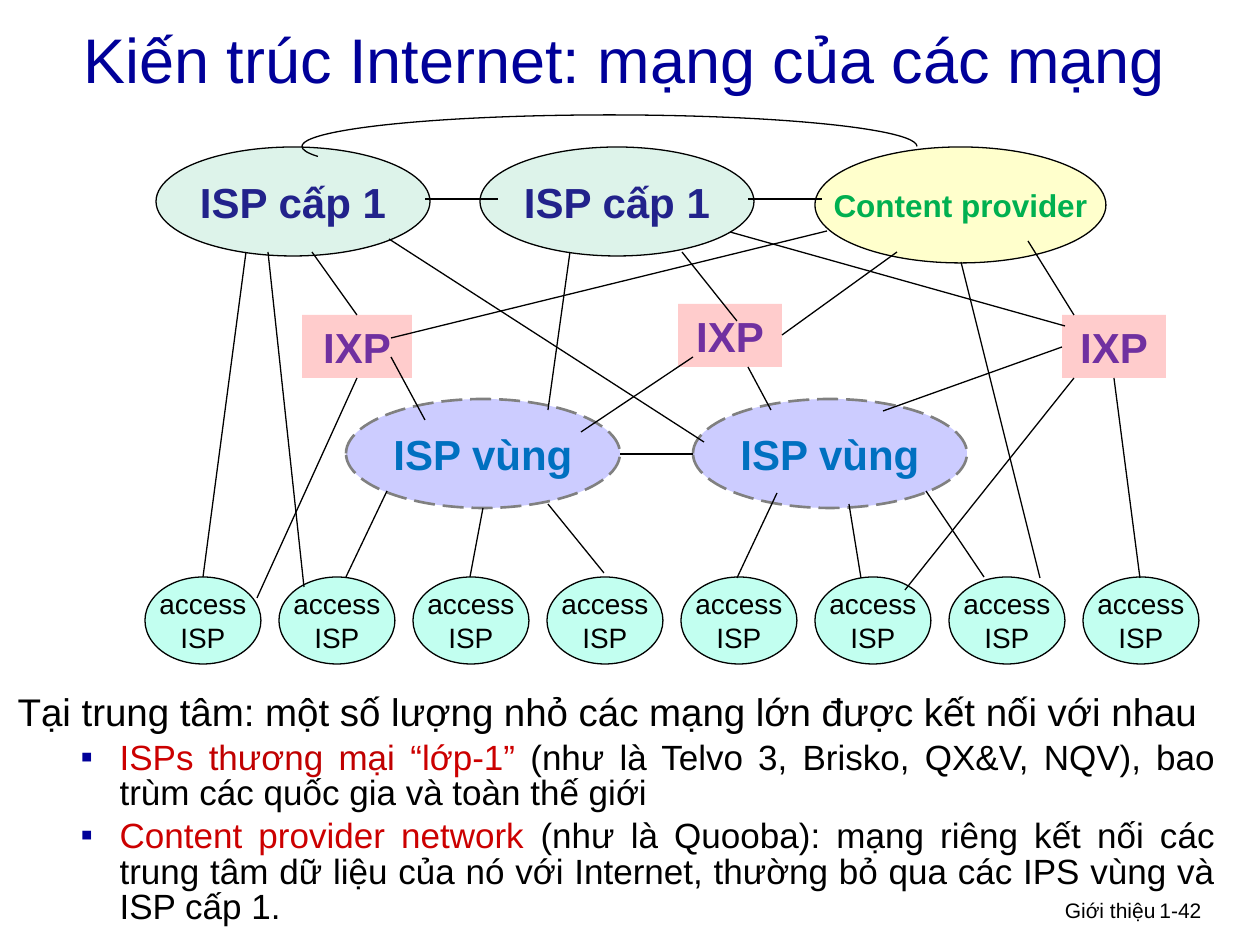
import pptx
import pptx.util
import pptx.dml.color
import pptx.enum.dml
import pptx.enum.shapes
import pptx.enum.text
import pptx.oxml.ns
from lxml import etree

PX = 914400 / 126
COLORS = {
    "title": "000099", "ink": "000000", "key": "CC0000", "key dark": "C00000",
    "access": "C2FFF0", "regional": "CCCCFF", "regional line": "808080",
    "regional text": "0070C0", "exchange": "FFCCCC", "exchange text": "7030A0",
    "tier": "DDF3EA", "tier text": "22228B",
    "content": "FFFFCC", "content text": "00B050",
}
SHAPES = pptx.enum.shapes.MSO_SHAPE
ALIGN = pptx.enum.text.PP_ALIGN
MIDDLE = pptx.enum.text.MSO_ANCHOR.MIDDLE


def emu(*lengths):
    return [pptx.util.Emu(round(length * PX)) for length in lengths]


def format_font(font, color, **values):
    for name, value in {"name": "Arial", **values}.items():
        setattr(font, name, value)
    font.color.rgb = pptx.dml.color.RGBColor.from_string(COLORS[color])


presentation = pptx.Presentation()
presentation.slide_width, presentation.slide_height = emu(1260, 945)
slide = presentation.slides.add_slide(presentation.slide_layouts[1])

# Title and body placeholders
title, body = slide.shapes.title, slide.placeholders[1]
for placeholder, box in ((title, (35, 14, 1179, 89)), (body, (5, 689, 1223, 272))):
    placeholder.left, placeholder.top, placeholder.width, placeholder.height = emu(*box)
    placeholder.text_frame.auto_size = pptx.enum.text.MSO_AUTO_SIZE.NONE
title.text_frame.text = "Kiến trúc Internet: mạng của các mạng"
title.text_frame.vertical_anchor = MIDDLE
title.text_frame.paragraphs[0].alignment = ALIGN.CENTER
format_font(title.text_frame.paragraphs[0].runs[0].font, "title", size=pptx.util.Pt(36))

# Body text: level, size, runs with their colours
body_text = [
    (0, 22, [("Tại trung tâm: một số lượng nhỏ các mạng lớn được kết nối với nhau", "ink")]),
    (1, 20, [("ISPs ", "key"), ("thương mại ", "key dark"), ("“lớp-1” ", "key"),
             ("(như là Telvo 3, Brisko, QX&V, NQV), bao trùm các quốc gia và toàn thế giới", "ink")]),
    (1, 20, [("Content provider network ", "key"),
             ("(như là Quooba): mạng riêng kết nối các trung tâm dữ liệu của nó với Internet, "
              "thường bỏ qua các IPS vùng và ISP cấp 1.", "ink")]),
]
for index, (level, size, runs) in enumerate(body_text):
    paragraph = body.text_frame.add_paragraph() if index else body.text_frame.paragraphs[0]
    for name, value in {"level": level, "alignment": ALIGN.JUSTIFY, "line_spacing": 0.85,
                        "space_before": pptx.util.Pt(4 if index else 0)}.items():
        setattr(paragraph, name, value)
    properties = paragraph._p.get_or_add_pPr()
    left, indent = emu(102, -39) if level else emu(0, 0)
    properties.set("marL", str(left))
    properties.set("indent", str(indent))
    if level:
        bullet_color = etree.SubElement(properties, pptx.oxml.ns.qn("a:buClr"))
        etree.SubElement(bullet_color, pptx.oxml.ns.qn("a:srgbClr"), val=COLORS["title"])
        etree.SubElement(properties, pptx.oxml.ns.qn("a:buFont"), typeface="Arial")
        etree.SubElement(properties, pptx.oxml.ns.qn("a:buChar"), char="▪")
    else:
        etree.SubElement(properties, pptx.oxml.ns.qn("a:buNone"))
    for text, color in runs:
        run = paragraph.add_run()
        run.text = text
        format_font(run.font, color, size=pptx.util.Pt(size))

# Footer and page number
for text, box, alignment in (("Giới thiệu", (769, 891, 399, 39), ALIGN.RIGHT),
                             ("1-42", (1147, 891, 93, 38), ALIGN.LEFT)):
    frame = slide.shapes.add_textbox(*emu(*box)).text_frame
    frame.word_wrap = True
    frame.text = text
    frame.paragraphs[0].alignment = alignment
    format_font(frame.paragraphs[0].runs[0].font, "ink", size=pptx.util.Pt(12))

# Networks: kind -> label, preset, fill, text colour, size, line colour, boxes
networks = [
    ("access\nISP", SHAPES.OVAL, "access", "ink", 16, "ink",
     [(145 + 134 * column, 577, 116, 87) for column in range(8)]),
    ("ISP vùng", SHAPES.OVAL, "regional", "regional text", 24, "regional line",
     [(346, 399, 274, 109), (693, 399, 274, 109)]),
    ("IXP", SHAPES.RECTANGLE, "exchange", "exchange text", 24, None,
     [(302, 315, 110, 63), (678, 304, 104, 63), (1062, 315, 104, 63)]),
    ("ISP cấp 1", SHAPES.OVAL, "tier", "tier text", 24, "ink",
     [(156, 147, 274, 109), (480, 147, 274, 109)]),
    ("Content provider", SHAPES.OVAL, "content", "content text", 18, "ink",
     [(815, 147, 291, 116)]),
]
for label, preset, fill, text_color, size, line_color, boxes in networks:
    for box in boxes:
        shape = slide.shapes.add_shape(preset, *emu(*box))
        shape.shadow.inherit = False
        shape.fill.solid()
        shape.fill.fore_color.rgb = pptx.dml.color.RGBColor.from_string(COLORS[fill])
        if line_color:
            shape.line.color.rgb = pptx.dml.color.RGBColor.from_string(COLORS[line_color])
            shape.line.width = pptx.util.Pt(0.75)
        else:
            shape.line.fill.background()
        if fill == "regional":
            shape.line.width = pptx.util.Pt(1.5)
            shape.line.dash_style = pptx.enum.dml.MSO_LINE.LONG_DASH
        shape.text_frame.word_wrap = False
        shape.text_frame.vertical_anchor = MIDDLE
        shape.text_frame.text = label
        for paragraph in shape.text_frame.paragraphs:
            paragraph.alignment = ALIGN.CENTER
            format_font(paragraph.runs[0].font, text_color,
                        size=pptx.util.Pt(size), bold=fill != "access")

# Arc from the first tier-1 ISP to the content provider
arc = slide.shapes.add_shape(SHAPES.ARC, *emu(302, 115, 615, 63))
arc.shadow.inherit = False
arc.fill.background()
arc.adjustments[0], arc.adjustments[1] = 106.82, 0
arc.line.color.rgb = pptx.dml.color.RGBColor.from_string(COLORS["ink"])
arc.line.width = pptx.util.Pt(0.75)

# Links between networks: x and y of both ends
links = [
    # between peers
    (498, 199, 425, 199), (822, 199, 748, 199), (693, 454, 620, 454),
    # from tier-1 ISPs
    (246, 252, 203, 577), (268, 252, 304, 587), (312, 252, 357, 315), (389, 239, 704, 442),
    (570, 252, 548, 410), (682, 252, 737, 321), (730, 232, 1065, 326),
    # from the content provider
    (827, 231, 391, 338), (897, 252, 782, 335), (961, 262, 1040, 578), (1028, 241, 1074, 315),
    # from exchange points
    (357, 378, 257, 598), (391, 357, 425, 420), (693, 357, 581, 432), (748, 367, 771, 410),
    (1062, 347, 883, 411), (1074, 378, 905, 590), (1114, 378, 1140, 578),
    # from regional ISPs
    (387, 491, 346, 577), (483, 508, 470, 577), (548, 504, 604, 573),
    (777, 493, 737, 578), (849, 504, 861, 578), (926, 491, 984, 577),
]
for ends in links:
    link = slide.shapes.add_connector(pptx.enum.shapes.MSO_CONNECTOR.STRAIGHT, *emu(*ends))
    link.line.color.rgb = pptx.dml.color.RGBColor.from_string(COLORS["ink"])
    link.line.width = pptx.util.Pt(0.75)
    etree.SubElement(link._element.spPr, pptx.oxml.ns.qn("a:effectLst"))

presentation.save("out.pptx")
